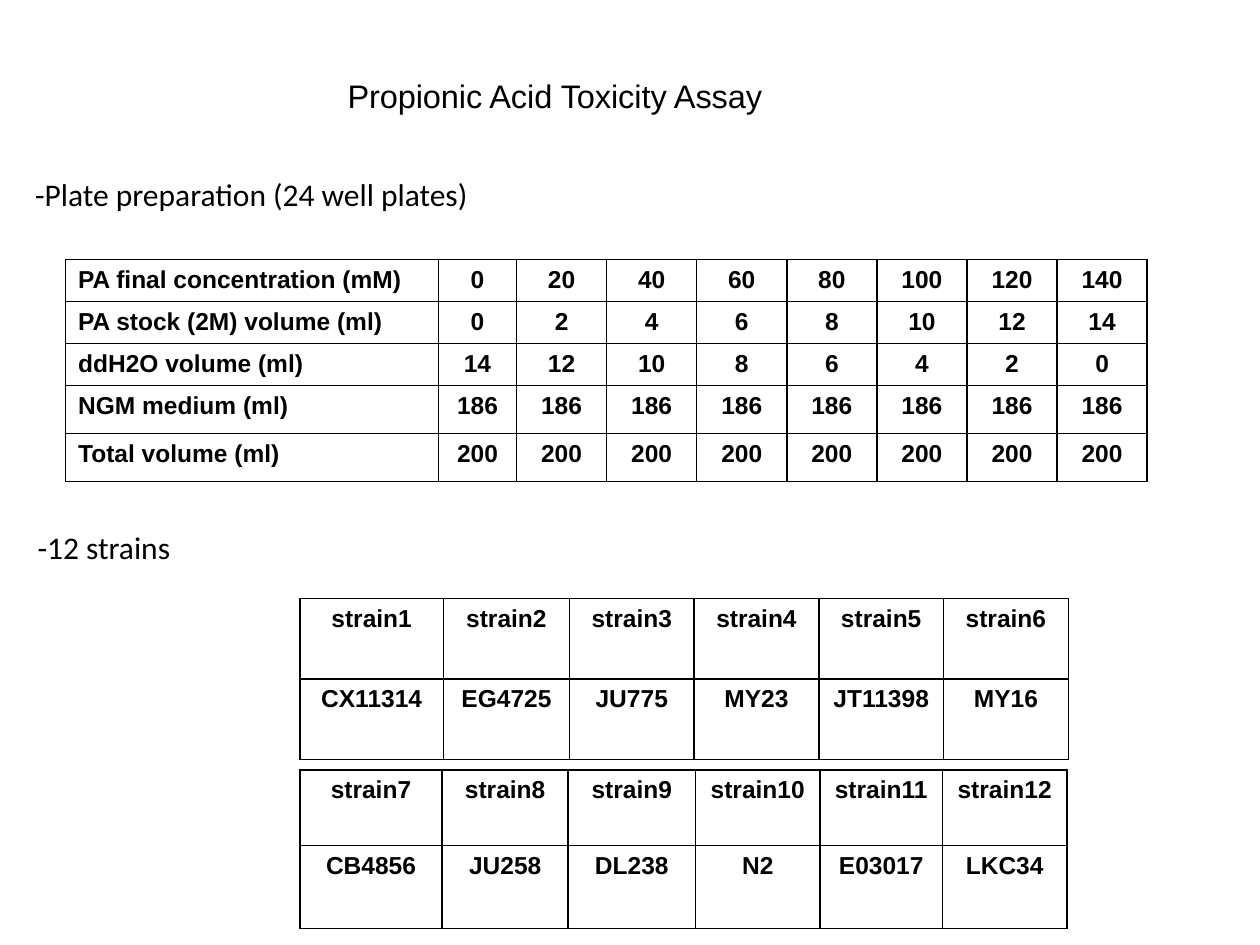
from dataclasses import dataclass

from lxml.etree import SubElement
from pptx import Presentation
from pptx.dml.color import RGBColor
from pptx.enum.text import MSO_AUTO_SIZE, PP_ALIGN
from pptx.oxml.ns import qn
from pptx.util import Inches, Pt

COLORS = {"ink": "000000"}


@dataclass
class Grid:
    left: float
    top: float
    columns: list[float]
    heights: list[float]
    rows: list[list[str]]
    label_column: bool = False


@dataclass
class Label:
    text: str
    left: float
    top: float
    width: float
    height: float
    font: str = "Calibri"
    size: int = 18
    wrap: bool = False
    baseline: int = 0


def write(frame, text: str, *, font: str, size: int, bold: bool = False,
          align=PP_ALIGN.LEFT, baseline: int = 0) -> None:
    paragraph = frame.paragraphs[0]
    paragraph.alignment = align
    run = paragraph.add_run()
    run.text = text
    run.font.name = font
    run.font.size = Pt(size)
    run.font.bold = bold
    run.font.color.rgb = RGBColor.from_string(COLORS["ink"])
    if baseline:
        run.font._element.set("baseline", str(baseline * 1000))


def add_label(slide, label: Label) -> None:
    box = slide.shapes.add_textbox(Inches(label.left), Inches(label.top),
                                   Inches(label.width), Inches(label.height))
    frame = box.text_frame
    frame.word_wrap = label.wrap
    frame.auto_size = MSO_AUTO_SIZE.SHAPE_TO_FIT_TEXT
    write(frame, label.text, font=label.font, size=label.size, baseline=label.baseline)


def outline(cell) -> None:
    properties = cell._tc.get_or_add_tcPr()
    for side in ("a:lnL", "a:lnR", "a:lnT", "a:lnB"):
        line = SubElement(properties, qn(side), w=str(Pt(1)))
        fill = SubElement(line, qn("a:solidFill"))
        SubElement(fill, qn("a:srgbClr"), val=COLORS["ink"])


def add_grid(slide, grid: Grid) -> None:
    frame = slide.shapes.add_table(
        len(grid.rows), len(grid.columns), Inches(grid.left), Inches(grid.top),
        Inches(sum(grid.columns)), Inches(sum(grid.heights)))
    table = frame.table
    table.first_row = table.horz_banding = False
    for column, width in zip(table.columns, grid.columns):
        column.width = Inches(width)
    for row, height, texts in zip(table.rows, grid.heights, grid.rows):
        row.height = Inches(height)
        for index, (cell, text) in enumerate(zip(row.cells, texts)):
            outline(cell)
            cell.fill.background()
            is_label = grid.label_column and index == 0
            write(cell.text_frame, text, font="Arial", size=14, bold=True,
                  align=PP_ALIGN.LEFT if is_label else PP_ALIGN.CENTER)


def plate_rows() -> list[list[str]]:
    """Stock and water always make up 14 ml, topped up to 200 ml with medium."""
    concentrations = range(0, 141, 20)
    stock = [concentration // 10 for concentration in concentrations]
    volumes = {
        "PA final concentration (mM)": concentrations,
        "PA stock (2M) volume (ml)": stock,
        "ddH2O volume (ml)": [14 - volume for volume in stock],
        "NGM medium (ml)": [186] * len(stock),
        "Total volume (ml)": [200] * len(stock),
    }
    return [[name, *map(str, values)] for name, values in volumes.items()]


def strain_rows(first: int, strains: list[str]) -> list[list[str]]:
    return [[f"strain{number}" for number, _ in enumerate(strains, first)], strains]


LABELS = [
    Label("Propionic Acid Toxicity Assay", 2.66, 0.5, 4.42, 0.46,
          font="Arial", size=32, wrap=True, baseline=30),
    Label("-Plate preparation (24 well plates)", 0.18, 1.34, 3.69, 0.4),
    Label("-12 strains", 0.2, 4.14, 1.27, 0.4),
]

GRIDS = [
    Grid(0.52, 2.06, [2.96, 0.62] + [0.715] * 7, [0.3, 0.31, 0.29, 0.38, 0.38],
         plate_rows(), label_column=True),
    Grid(2.38, 4.75, [1.14, 1] + [0.99] * 4, [0.64, 0.64],
         strain_rows(1, ["CX11314", "EG4725", "JU775", "MY23", "JT11398", "MY16"])),
    Grid(2.38, 6.11, [1.13, 1, 1.01, 0.99, 0.97, 0.99], [0.6, 0.66],
         strain_rows(7, ["CB4856", "JU258", "DL238", "N2", "E03017", "LKC34"])),
]


def main() -> None:
    presentation = Presentation()
    presentation.slide_width = Inches(10)
    presentation.slide_height = Inches(7.5)
    slide = presentation.slides.add_slide(presentation.slide_layouts[6])

    # Title and section headings
    for label in LABELS:
        add_label(slide, label)

    # Plate recipe and strain tables
    for grid in GRIDS:
        add_grid(slide, grid)

    presentation.save("out.pptx")


if __name__ == "__main__":
    main()
